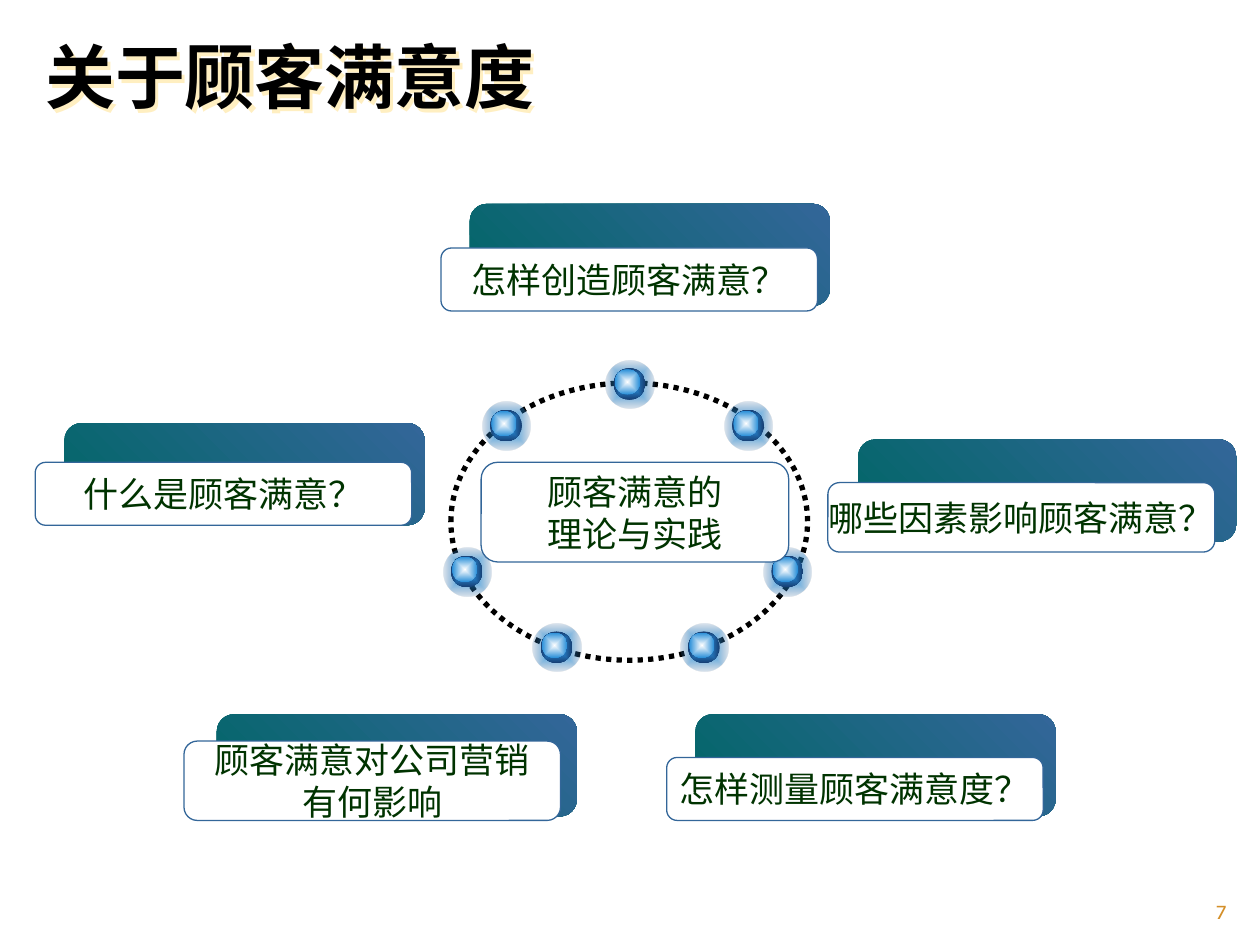
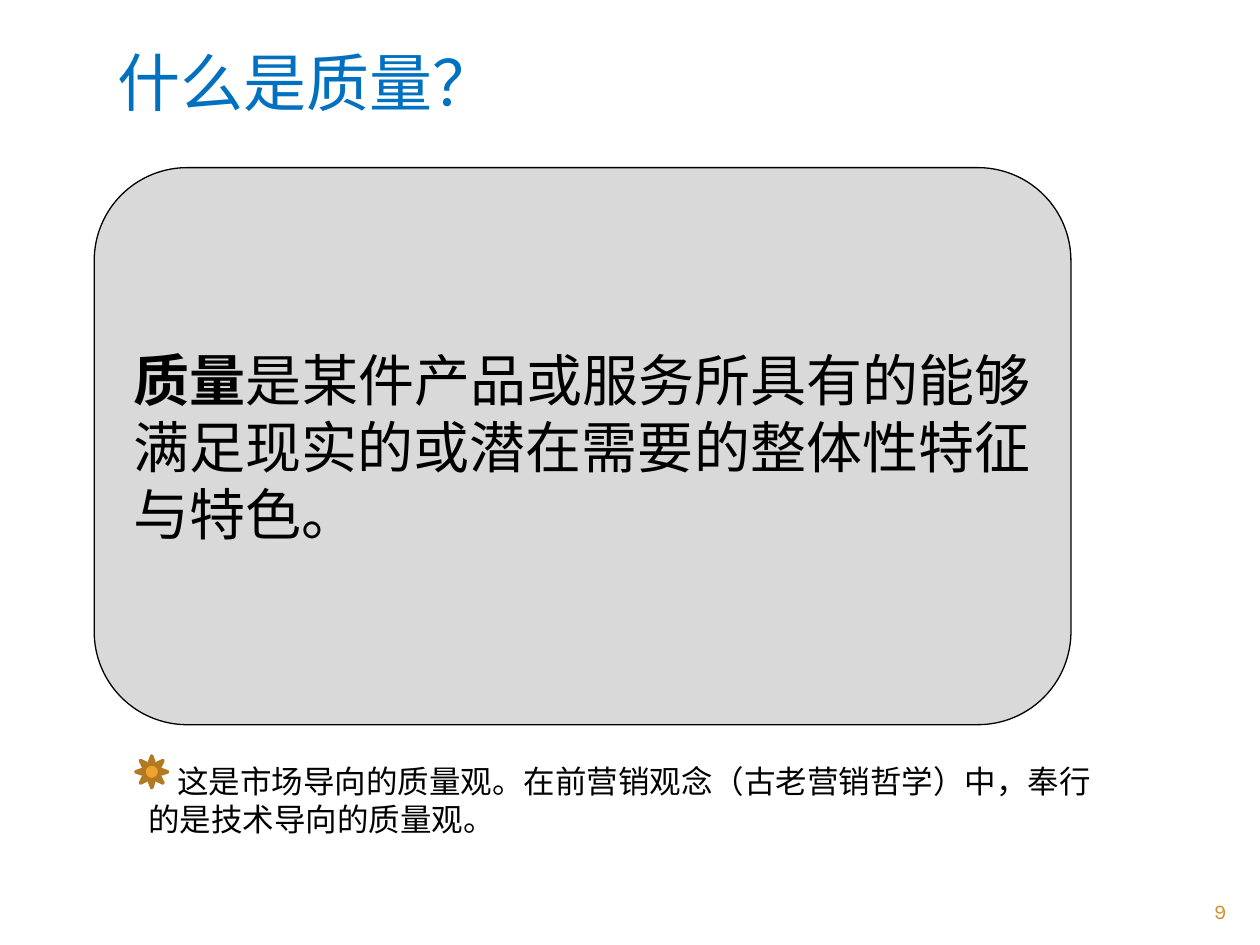
import dataclasses

import lxml.etree
import pptx
import pptx.dml.color
import pptx.enum.dml
import pptx.enum.shapes
import pptx.enum.text
import pptx.oxml
import pptx.oxml.ns
import pptx.util

Cm = pptx.util.Cm
Pt = pptx.util.Pt
Kind = pptx.enum.shapes.MSO_SHAPE
Align = pptx.enum.text.PP_ALIGN
Anchor = pptx.enum.text.MSO_ANCHOR
qn = pptx.oxml.ns.qn


@dataclasses.dataclass(frozen=True)
class Theme:
    ink: str = "000000"
    white: str = "FFFFFF"
    green: str = "003300"
    blue: str = "0070C0"
    edge: str = "336699"
    gold: str = "D48F29"
    grey: str = "D9D9D9"
    sun: str = "F0A22E"
    rim: str = "B27822"
    glow: str = "FFEFC1"
    card: tuple = (("006666", 100), ("336699", 100))
    gem: tuple = (
        (0.97, 0, (("0099FF", 100), ("336699", 17))),
        (0.64, -0.01, (("2FABFF", 100), ("163E73", 100))),
        (0.51, -0.05, (("FFFFFF", 100), ("288ED8", 100))),
    )
    head: int = 40
    title: int = 36
    quote: int = 32
    label: int = 20
    note: int = 18
    foot: int = 12
    body: str = "Karla"
    bold: str = "Arial"
    hans: str = "Noto Sans CJK SC"


T = Theme()

CARDS = [
    ((9.47, 4.11, 7.26), (8.89, 5, 7.59, 1.27), ["怎样创造顾客满意？"]),
    ((1.3, 8.53, 7.26), (0.71, 9.32, 7.59, 1.27), ["什么是顾客满意？"]),
    ((17.3, 8.86, 7.62), (16.69, 9.73, 7.8, 1.4), ["哪些因素影响顾客满意？"]),
    ((4.37, 14.4, 7.26), (3.71, 14.94, 7.59, 1.6), ["顾客满意对公司营销", "有何影响"]),
    ((14.02, 14.4, 7.26), (13.44, 15.27, 7.59, 1.27), ["怎样测量顾客满意度？"]),
]
GEMS = [(15.09, 8.59), (10.21, 8.59), (15.88, 11.53), (9.42, 11.53),
        (14.2, 13.06), (11.23, 13.06), (12.7, 7.75)]


def rgb(code):
    return pptx.dml.color.RGBColor.from_string(code)


def put(item, **values):
    for name, value in values.items():
        setattr(item, name, value)


def blend(shape, stops, angle=None):
    shape.fill.background()
    grad = pptx.oxml.parse_xml(f'<a:gradFill {pptx.oxml.ns.nsdecls("a")} rotWithShape="1"/>')
    gs_list = lxml.etree.SubElement(grad, qn("a:gsLst"))
    for place, (code, alpha) in enumerate(stops):
        stop = lxml.etree.SubElement(gs_list, qn("a:gs"), pos=str(place * 100000))
        color = lxml.etree.SubElement(stop, qn("a:srgbClr"), val=code)
        if alpha < 100:
            lxml.etree.SubElement(color, qn("a:alpha"), val=str(alpha * 1000))
    if angle is None:
        way = lxml.etree.SubElement(grad, qn("a:path"), attrib={"path": "shape"})
        lxml.etree.SubElement(way, qn("a:fillToRect"), {side: "50000" for side in "ltrb"})
    else:
        lxml.etree.SubElement(grad, qn("a:lin"), ang=str(angle * 60000), scaled="0")
    props = shape._element.spPr
    props.replace(props.find(qn("a:noFill")), grad)


def form(shapes, kind, box, fill=None, line=None, width=0.75):
    shape = shapes.add_shape(kind, *map(Cm, box))
    shape.shadow.inherit = False
    if kind == Kind.ROUNDED_RECTANGLE:
        shape.adjustments[0] = 0.167
    for part, code in ((shape.fill, fill), (shape.line.fill, line)):
        if code:
            part.solid()
            part.fore_color.rgb = rgb(code)
        else:
            part.background()
    if line:
        shape.line.width = Pt(width)
    return shape


def write(shape, lines, size, color, font=T.hans, align=Align.LEFT, bold=False, **frame):
    put(shape.text_frame, **frame)
    for place, line in enumerate(lines):
        para = shape.text_frame.paragraphs[0] if place == 0 else shape.text_frame.add_paragraph()
        para.alignment = align
        for text, heavy in ([(line, bold)] if isinstance(line, str) else line):
            run = para.add_run()
            run.text = text
            put(run.font, size=Pt(size), bold=heavy, name=font)
            run.font.color.rgb = rgb(color)
            lxml.etree.SubElement(run.font._element, qn("a:ea"), typeface=T.hans)
    return shape


def label(slide, box, lines, size, color, **style):
    shape = slide.shapes.add_textbox(*map(Cm, box))
    return write(shape, lines, size, color, word_wrap=True, **style)


def plate(slide, box, lines):
    shape = form(slide.shapes, Kind.ROUNDED_RECTANGLE, box, T.white, T.edge)
    write(shape, lines, T.label, T.green, align=Align.CENTER,
          word_wrap=False, vertical_anchor=Anchor.MIDDLE)


def card(slide, back, front, lines):
    blend(form(slide.shapes, Kind.ROUNDED_RECTANGLE, (*back, 2.06)), T.card, 315)
    plate(slide, front, lines)


def gem(slide, x, y):
    group = slide.shapes.add_group_shape()
    for size, shift, stops in T.gem:
        box = (x + shift - size / 2, y + shift - size / 2, size, size)
        blend(form(group.shapes, Kind.OVAL, box), stops)


def glow(shape):
    effects = lxml.etree.SubElement(shape._element.spPr, qn("a:effectLst"))
    shade = lxml.etree.SubElement(effects, qn("a:outerShdw"), dist=str(Pt(2.5)), dir="2700000")
    lxml.etree.SubElement(shade, qn("a:srgbClr"), val=T.glow)


def page(deck, number):
    slide = deck.slides.add_slide(deck.slide_layouts[6])
    label(slide, (22.86, 17.98, 2.11, 0.69), [number], T.foot, T.gold,
          font=T.body, align=Align.RIGHT)
    return slide


def theme_map(deck):
    slide = page(deck, "7")
    ring = form(slide.shapes, Kind.OVAL, (9.09, 7.72, 7.19, 5.59), line=T.ink, width=3)
    ring.line.dash_style = pptx.enum.dml.MSO_LINE.ROUND_DOT
    for spot in GEMS:
        gem(slide, *spot)
    for back, front, lines in CARDS:
        card(slide, back, front, lines)
    plate(slide, (9.7, 9.32, 6.2, 2.01), ["顾客满意的", "理论与实践"])
    glow(label(slide, (0.66, 0.56, 13.23, 1.96), ["关于顾客满意度"], T.head, T.ink,
               font=T.bold, bold=True))


def meaning(deck):
    slide = page(deck, "9")
    label(slide, (2.11, 0.76, 21.39, 3.18), ["什么是质量？"], T.title, T.blue)
    panel = form(slide.shapes, Kind.ROUNDED_RECTANGLE, (1.9, 3.38, 19.69, 11.23), T.grey, T.ink)
    quote = [[("质量", True), ("是某件产品或服务所具有的能够", False)],
             "满足现实的或潜在需要的整体性特征", "与特色。"]
    write(panel, quote, T.quote, T.ink, font=T.body,
          word_wrap=False, vertical_anchor=Anchor.MIDDLE)
    note = label(slide, (2.74, 15.24, 19.94, 1.8),
                 ["这是市场导向的质量观。在前营销观念（古老营销哲学）中，奉行的是技术导向的质量观。"],
                 T.note, T.ink, font=T.body)
    note.text_frame.paragraphs[0]._p.get_or_add_pPr().set("indent", str(Cm(0.58)))
    form(slide.shapes, Kind.SUN, (2.74, 15.24, 0.64, 0.64), T.sun, T.rim, 2)


def main():
    deck = pptx.Presentation()
    put(deck, slide_width=Cm(25.4), slide_height=Cm(19.05))
    theme_map(deck)
    meaning(deck)
    deck.save("out.pptx")


if __name__ == "__main__":
    main()
